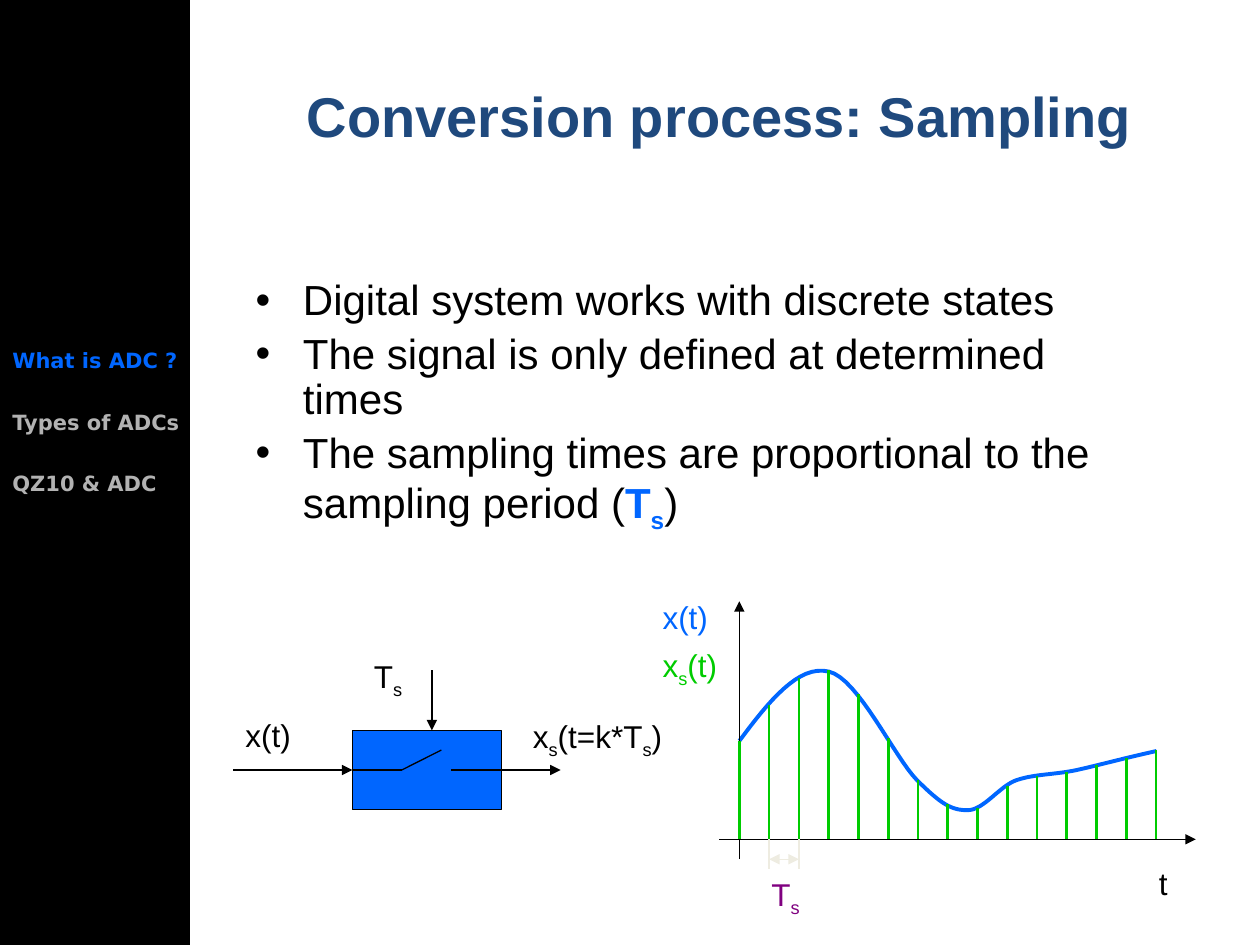
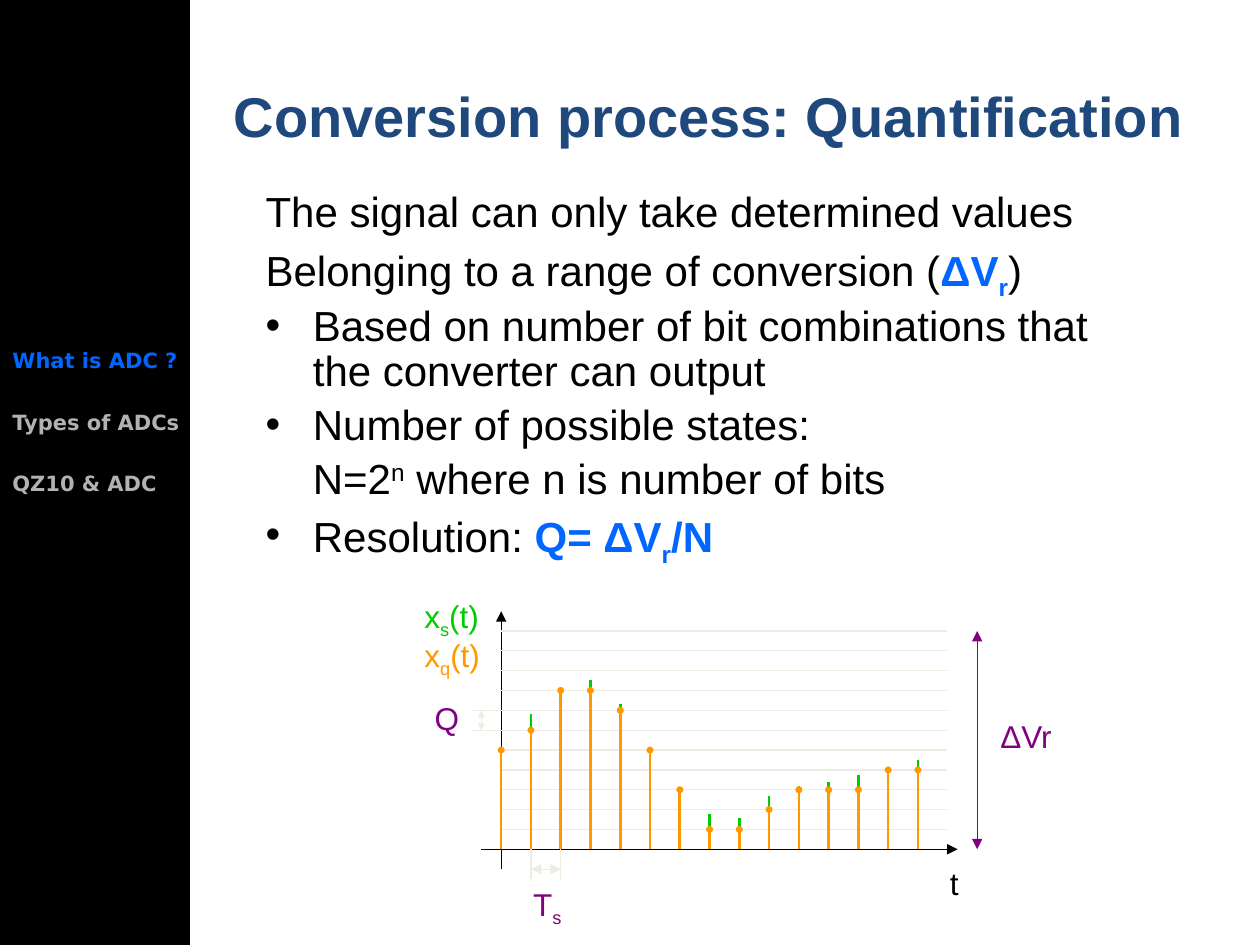
from lxml import etree
from pptx import Presentation
from pptx.dml.color import RGBColor
from pptx.enum.shapes import MSO_CONNECTOR, MSO_SHAPE
from pptx.enum.text import PP_ALIGN
from pptx.oxml.ns import qn
from pptx.util import Pt

STRAIGHT = MSO_CONNECTOR.STRAIGHT
RECT = MSO_SHAPE.RECTANGLE
LEFT, CENTER = PP_ALIGN.LEFT, PP_ALIGN.CENTER

BLACK, BLUE, NAVY, GREY = "000000", "0066FF", "1F497D", "B2B2B2"
GREEN, ORANGE, PURPLE, PALE = "00CC00", "FF9900", "800080", "EEECE1"

SUB = dict(base=-25000)
SUPER = dict(base=30000)
KEY = dict(color=BLUE, bold=True)
KEY_SUB = dict(KEY, **SUB)

STEP = 17.01
LEVEL = 11.34
SAMPLES = [56.2, 77, 92.2, 96.5, 82.8, 58, 33.8, 20, 17.6, 30.6,
           36.2, 38.4, 42.5, 46.4, 51.1]
QUANTA = [5, 6, 8, 8, 7, 5, 3, 1, 1, 2, 3, 3, 3, 4, 4]
CURVE_START = (0, 56.2)
CURVE = [
    ((16.6, 78.5), (33.8, 100.1), (51.1, 95.8)),
    ((67.7, 92.2), (88.6, 46.8), (101.5, 33.8)),
    ((115.2, 20.2), (121, 16.6), (130.3, 16.6)),
    ((139.7, 16.6), (148.3, 30.2), (158.4, 33.8)),
    ((169.2, 37.4), (179.3, 36.7), (193, 39.6)),
    ((205.9, 42.5), (221.8, 46.8), (238.3, 50.4)),
]
MENU = ["What is ADC ?", "Types of ADCs", "QZ10 & ADC"]


def rgb(color):
    return RGBColor.from_string(color)


def add_run(p, text, size=18, color=BLACK, bold=False, font="Arial", base=0):
    r = p.add_run()
    r.text = text
    r.font.size = Pt(size)
    r.font.name = font
    r.font.bold = bold
    r.font.color.rgb = rgb(color)
    if base:
        r._r.get_or_add_rPr().set("baseline", str(base))


def bezier(a, b, c, d, t):
    u = 1 - t
    return tuple(u**3 * i + 3 * u * u * t * j + 3 * u * t * t * k + t**3 * m
                 for i, j, k, m in zip(a, b, c, d))


class Deck:
    """Holds the style and the current slide, and draws each kind of element."""

    def __init__(self):
        self.prs = Presentation()
        self.prs.slide_width, self.prs.slide_height = Pt(720), Pt(540)
        self.s = None

    def slide(self, title, x, w):
        self.s = self.prs.slides.add_slide(self.prs.slide_layouts[6])
        self.rect(0, 0, 108, 540, BLACK)
        for i, item in enumerate(MENU):
            self.label(0, 195 + 35.3 * i, 126, [item], h=21.6, size=12, bold=True,
                       font="DejaVu Sans", color=GREY if i else BLUE)
        self.label(x, 43.2, w, [title], h=45.4, align=CENTER, size=32,
                   bold=True, color=NAVY)

    def rect(self, x, y, w, h, fill):
        sp = self.s.shapes.add_shape(RECT, Pt(x), Pt(y), Pt(w), Pt(h))
        sp.shadow.inherit = False
        sp.fill.solid()
        sp.fill.fore_color.rgb = rgb(fill)
        sp.line.color.rgb = rgb(BLACK)
        sp.line.width = Pt(0.75)

    def frame(self, x, y, w, h):
        tf = self.s.shapes.add_textbox(Pt(x), Pt(y), Pt(w), Pt(h)).text_frame
        tf.word_wrap = True
        return tf

    def fill_runs(self, p, runs, **fmt):
        for item in runs:
            text, own = (item, {}) if isinstance(item, str) else item
            add_run(p, text, **{**fmt, **own})

    def label(self, x, y, w, runs, h=28.8, align=LEFT, **fmt):
        p = self.frame(x, y, w, h).paragraphs[0]
        p.alignment = align
        self.fill_runs(p, runs, **fmt)

    def body(self, x, y, w, h, items):
        tf = self.frame(x, y, w, h)
        for i, (kind, runs) in enumerate(items):
            p = tf.add_paragraph() if i else tf.paragraphs[0]
            p.line_spacing = 0.9
            p.space_before = Pt(4.8)
            pPr = p._p.get_or_add_pPr()
            if kind != "plain":
                pPr.set("marL", str(Pt(27)))
            if kind == "bullet":
                pPr.set("indent", str(-Pt(27)))
                etree.SubElement(pPr, qn("a:buFont")).set("typeface", "Arial")
                etree.SubElement(pPr, qn("a:buChar")).set("char", "•")
            self.fill_runs(p, runs, size=24)

    def line(self, x1, y1, x2, y2, color=BLACK, width=0.75, head=None, tail=None,
             end_size="med"):
        c = self.s.shapes.add_connector(STRAIGHT, Pt(x1), Pt(y1), Pt(x2), Pt(y2))
        c.line.color.rgb = rgb(color)
        c.line.width = Pt(width)
        ln = c.line._get_or_add_ln()
        for tag, end in (("a:headEnd", head), ("a:tailEnd", tail)):
            if end:
                etree.SubElement(ln, qn(tag), type=end, w=end_size, len=end_size)
        etree.SubElement(c._element.spPr, qn("a:effectLst"))

    def arrow(self, x1, y1, x2, y2, color=BLACK, both=False, end_size="med"):
        self.line(x1, y1, x2, y2, color, head="triangle" if both else None,
                  tail="triangle", end_size=end_size)

    def curve(self, x0, base):
        points, start = [], CURVE_START
        for b, c, d in CURVE:
            points += [bezier(start, b, c, d, i / 16) for i in range(1, 17)]
            start = d
        fb = self.s.shapes.build_freeform(Pt(x0), Pt(base - CURVE_START[1]))
        fb.add_line_segments([(Pt(x0 + x), Pt(base - y)) for x, y in points],
                             close=False)
        sp = fb.convert_to_shape()
        sp.shadow.inherit = False
        sp.fill.background()
        sp.line.color.rgb = rgb(BLUE)
        sp.line.width = Pt(2.25)

    def stems(self, x0, base, heights, color, tail=None):
        for i, height in enumerate(heights):
            x = x0 + i * STEP
            self.line(x, base, x, base - height, color, 1.5, tail=tail,
                      end_size="sm")

    def sampled_plot(self, x0, base, t_x):
        self.arrow(x0, base + 11.4, x0, base - 136)
        self.label(t_x, 490.3, 45.4, ["t"])
        self.stems(x0, base, SAMPLES, GREEN)
        self.arrow(x0 - 11.4, base, x0 + 260.8, base)
        left, right = x0 + STEP, x0 + 2 * STEP
        self.arrow(left, base + 11.4, right, base + 11.4, PALE, both=True)
        for x in (left, right):
            self.line(x, base, x, base + 17, PALE)
        self.label(x0 + 11.2, base + 17, 96.5, ["T", ("s", SUB)], color=PURPLE)

    def sampler(self):
        y = 440
        self.label(297.4, 406.1, 96.5,
                   ["x", ("s", SUB), "(t=k*T", ("s", SUB), ")"])
        self.arrow(133.2, y, 201.4, y)
        self.rect(201.4, 417.4, 85, 45.4, BLUE)
        self.label(133.2, 405.4, 62.6, ["x(t)"])
        self.line(201.4, y, 229.6, y)
        self.line(229.6, y, 252.2, 428.6)
        self.line(258, y, 286.4, y)
        self.arrow(286.4, y, 320.4, y)
        self.arrow(246.8, 383, 246.8, 417.4)
        self.label(206.6, 372.2, 62.6, ["T", ("s", SUB)])

    def quantizer(self, x0, base):
        top = base - 11 * LEVEL
        for i in range(1, 12):
            y = base - i * LEVEL
            self.line(x0, y, x0 + 255, y, PALE)
        self.arrow(558.4, base, 558.4, top, PURPLE, both=True)
        self.label(564.5, 406.1, 51.1, ["ΔVr"], color=PURPLE)
        high, low = base - 7 * LEVEL, base - 6 * LEVEL
        for y in (high, low):
            self.line(x0 - 17, y, x0, y, PALE)
        self.arrow(x0 - 11.4, high, x0 - 11.4, low, PALE, both=True, end_size="sm")
        self.label(241.2, 396, 28.1, ["Q"], color=PURPLE)
        self.stems(x0, base, [q * LEVEL for q in QUANTA], ORANGE, tail="oval")


def sampling(deck):
    x0, base = 422.5, 479.6
    deck.slide("Conversion process: Sampling", 144.7, 532.8)
    deck.body(139, 156.2, 527, 159.1, [
        ("bullet", ["Digital system works with discrete states"]),
        ("bullet", ["The signal is only defined at determined times"]),
        ("bullet", ["The sampling times are proportional to the sampling period (",
                    ("T", KEY), ("s", KEY_SUB), ")"]),
    ])
    deck.sampler()
    deck.curve(x0, base)
    deck.sampled_plot(x0, base, 655.2)
    deck.label(371.5, 338.4, 51.1, ["x(t)"], color=BLUE)
    deck.label(371.5, 365.8, 51.1, ["x", ("s", SUB), "(t)"], color=GREEN)


def quantification(deck):
    x0, base = 286.4, 485.3
    deck.slide("Conversion process: Quantification", 115.9, 578.2)
    deck.body(144.7, 105.8, 521.3, 232.6, [
        ("plain", ["The signal can only take determined values"]),
        ("plain", ["Belonging to a range of conversion (",
                   ("ΔV", KEY), ("r", KEY_SUB), ")"]),
        ("bullet", ["Based on number of bit combinations that "
                    "the converter can output"]),
        ("bullet", ["Number of possible states:"]),
        ("indented", ["N=2", ("n", SUPER), " where n is number of bits"]),
        ("bullet", ["Resolution: ", ("Q= ΔV", KEY), ("r", KEY_SUB), ("/N", KEY)]),
    ])
    deck.sampled_plot(x0, base, 535.7)
    deck.label(235.4, 337.7, 51.1, ["x", ("s", SUB), "(t)"], color=GREEN)
    deck.quantizer(x0, base)
    deck.label(235.4, 360, 51.1, ["x", ("q", SUB), "(t)"], color=ORANGE)


deck = Deck()
sampling(deck)
quantification(deck)
deck.prs.save("out.pptx")
